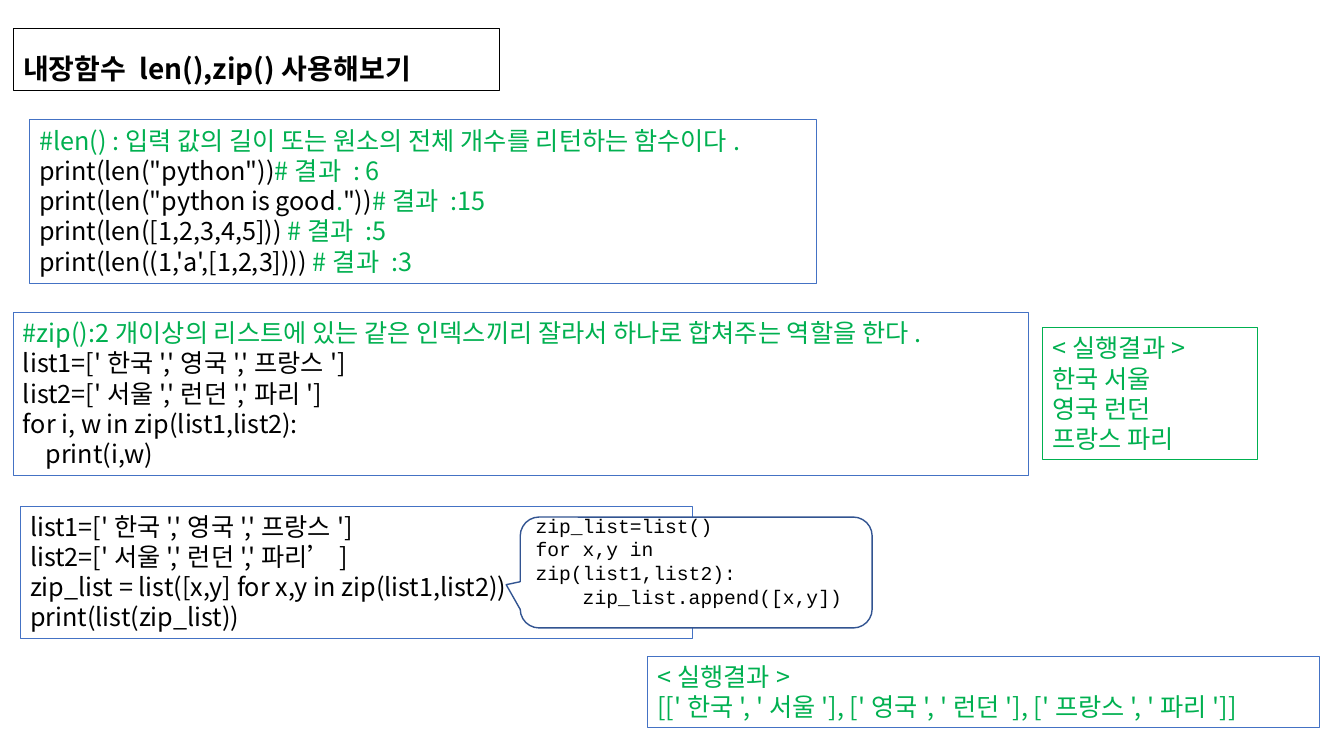
from dataclasses import dataclass

from lxml import etree
from pptx import Presentation
from pptx.dml.color import RGBColor
from pptx.enum.shapes import MSO_SHAPE
from pptx.enum.text import MSO_ANCHOR, MSO_AUTO_SIZE, PP_ALIGN
from pptx.oxml.ns import qn
from pptx.util import Inches, Pt


@dataclass(frozen=True)
class Theme:
    font: str = "Noto Sans CJK KR"
    mono: str = "Courier New"
    title: int = 20
    body: int = 18
    note: int = 14
    black: str = "000000"
    green: str = "00B050"
    blue: str = "4472C4"
    navy: str = "325491"
    white: str = "FFFFFF"


T = Theme()


def rgb(value):
    return RGBColor.from_string(value)


def set_attrs(target, values):
    for name, value in values.items():
        setattr(target, name, value)


def place(sp, box):
    names = ("left", "top", "width", "height")
    set_attrs(sp, dict(zip(names, map(Inches, box))))


def outline(sp, color, width=0.75):
    sp.line.color.rgb = rgb(color)
    sp.line.width = Pt(width)


def add_run(p, text, color, size=T.body, font=T.font, bold=False):
    r = p.add_run()
    r.text = text
    set_attrs(r.font, {"name": font, "size": Pt(size), "bold": bold})
    r.font.color.rgb = rgb(color)
    for tag in ("a:ea", "a:cs"):
        etree.SubElement(r.font._element, qn(tag)).set("typeface", font)


def write_lines(tf, lines, **style):
    for i, runs in enumerate(lines):
        p = tf.add_paragraph() if i else tf.paragraphs[0]
        p.alignment = PP_ALIGN.LEFT
        for text, color in runs:
            add_run(p, text, color, **style)


def plain(color, *texts):
    return [[(text, color)] for text in texts]


def call_line(call, result):
    return [(call, T.black), (result, T.green)]


def add_title(s, text, box):
    sp = s.shapes.title
    place(sp, box)
    outline(sp, T.black)
    tf = sp.text_frame
    set_attrs(tf, {"word_wrap": True, "auto_size": MSO_AUTO_SIZE.NONE,
                   "vertical_anchor": MSO_ANCHOR.BOTTOM})
    write_lines(tf, plain(T.black, text), size=T.title, bold=True)
    tf.paragraphs[0].line_spacing = 0.9


def add_box(s, box, lines, border=T.blue):
    sp = s.shapes.add_textbox(*map(Inches, box))
    outline(sp, border)
    tf = sp.text_frame
    set_attrs(tf, {"word_wrap": True,
                   "auto_size": MSO_AUTO_SIZE.SHAPE_TO_FIT_TEXT})
    write_lines(tf, lines)


def add_callout(s, box, lines):
    sp = s.shapes.add_shape(MSO_SHAPE.ROUNDED_RECTANGULAR_CALLOUT,
                            *map(Inches, box))
    sp.shadow.inherit = False
    for i, value in enumerate((-0.54, 0.11, 0.17)):
        sp.adjustments[i] = value
    sp.fill.solid()
    sp.fill.fore_color.rgb = rgb(T.white)
    outline(sp, T.navy, 1)
    tf = sp.text_frame
    set_attrs(tf, {"word_wrap": True, "vertical_anchor": MSO_ANCHOR.MIDDLE,
                   "margin_bottom": Inches(0.28)})
    write_lines(tf, lines, size=T.note, font=T.mono)


def main():
    prs = Presentation()
    set_attrs(prs, {"slide_width": Inches(13.33), "slide_height": Inches(7.5)})
    s = prs.slides.add_slide(prs.slide_layouts[5])

    add_title(s, "내장함수 len(),zip()사용해보기", (0.13, 0.28, 4.82, 0.62))
    add_box(s, (10.34, 3.25, 2.13, 1.31),
            plain(T.green, "<실행결과>", "한국 서울", "영국 런던", "프랑스 파리"),
            T.green)
    add_box(s, (0.29, 1.19, 7.81, 1.62), [
        [("#len() :입력 값의 길이 또는 원소의 전체 개수를 리턴하는 함수이다.", T.green)],
        call_line('print(len("python"))', "#결과 : 6"),
        [('print(len("python is good', T.black), (".", T.green),
         ('"))', T.black), ("#결과 :15", T.green)],
        call_line("print(len([1,2,3,4,5])) ", "#결과 :5"),
        call_line("print(len((1,'a',[1,2,3]))) ", "#결과 :3"),
    ])
    add_box(s, (0.13, 3.1, 10.07, 1.62), [
        *plain(T.green, "#zip():2개이상의 리스트에 있는 같은 인덱스끼리 "
                        "잘라서 하나로 합쳐주는 역할을 한다."),
        *plain(T.black,
               "list1=['한국','영국','프랑스']",
               "list2=['서울','런던','파리']",
               "for i, w in zip(list1,list2):",
               "    print(i,w)"),
    ])
    add_box(s, (6.42, 6.51, 6.67, 0.71),
            plain(T.green, "<실행결과>",
                  "[['한국', '서울'], ['영국', '런던'], ['프랑스', '파리']]"))
    add_box(s, (0.2, 5.02, 6.67, 1.31),
            plain(T.black,
                  "list1=['한국','영국','프랑스']",
                  "list2=['서울','런던','파리’]",
                  "zip_list = list([x,y] for x,y in zip(list1,list2))",
                  "print(list(zip_list))"))
    add_callout(s, (5.16, 5.13, 3.49, 1.1),
                plain(T.black,
                      "zip_list=list()",
                      "for x,y in zip(list1,list2):",
                      "    zip_list.append([x,y])"))
    prs.save("out.pptx")


if __name__ == "__main__":
    main()
